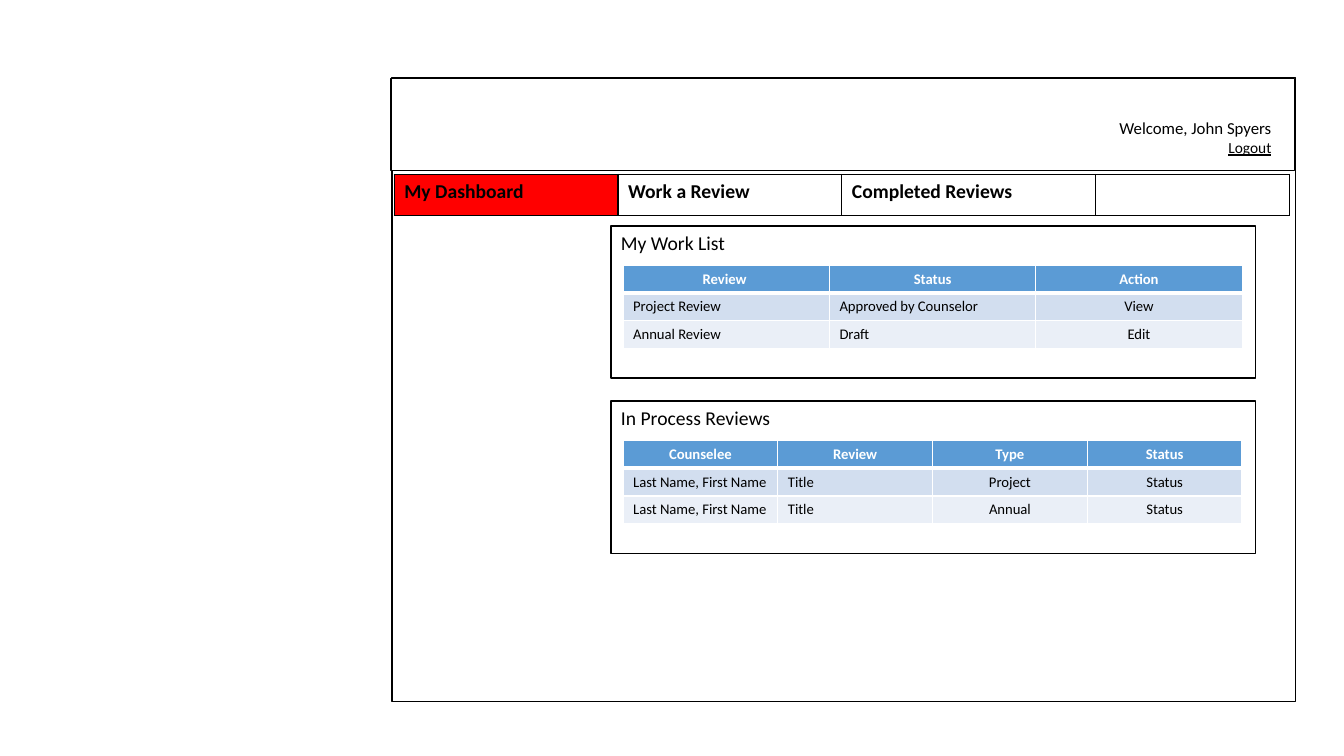
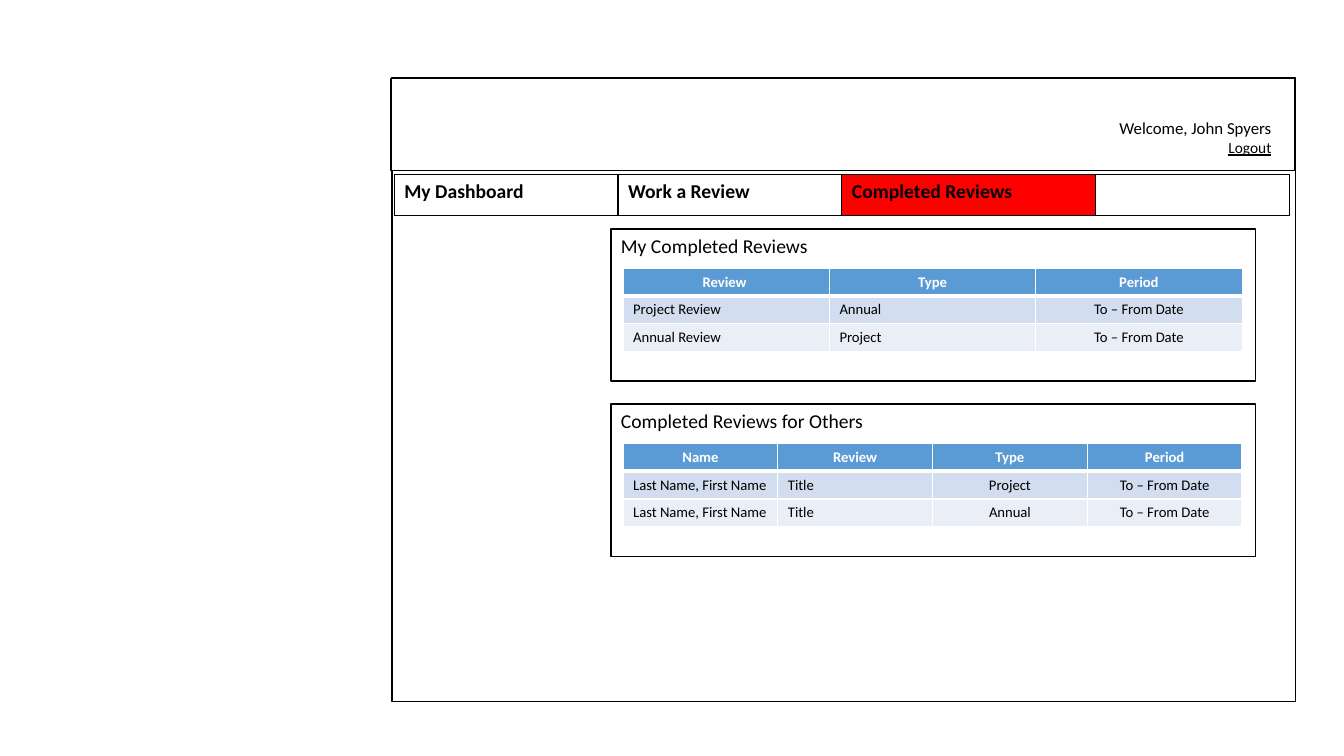
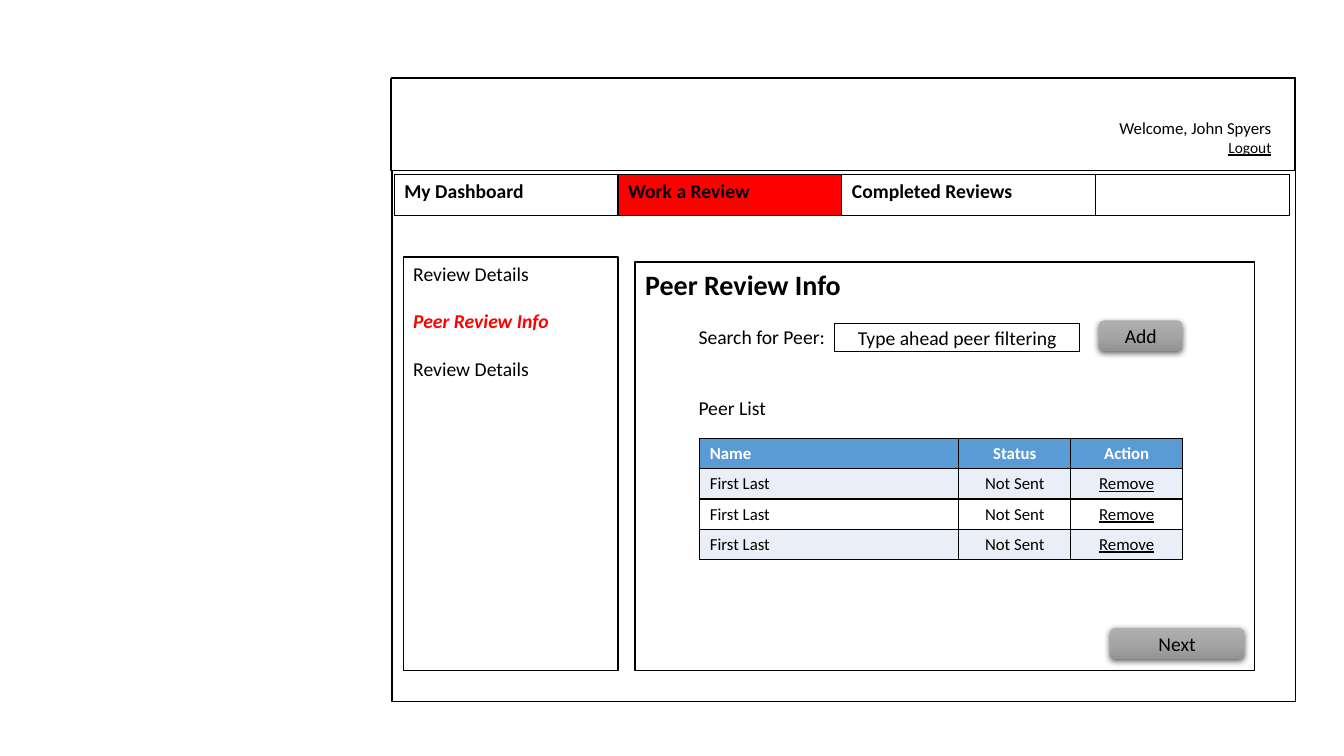
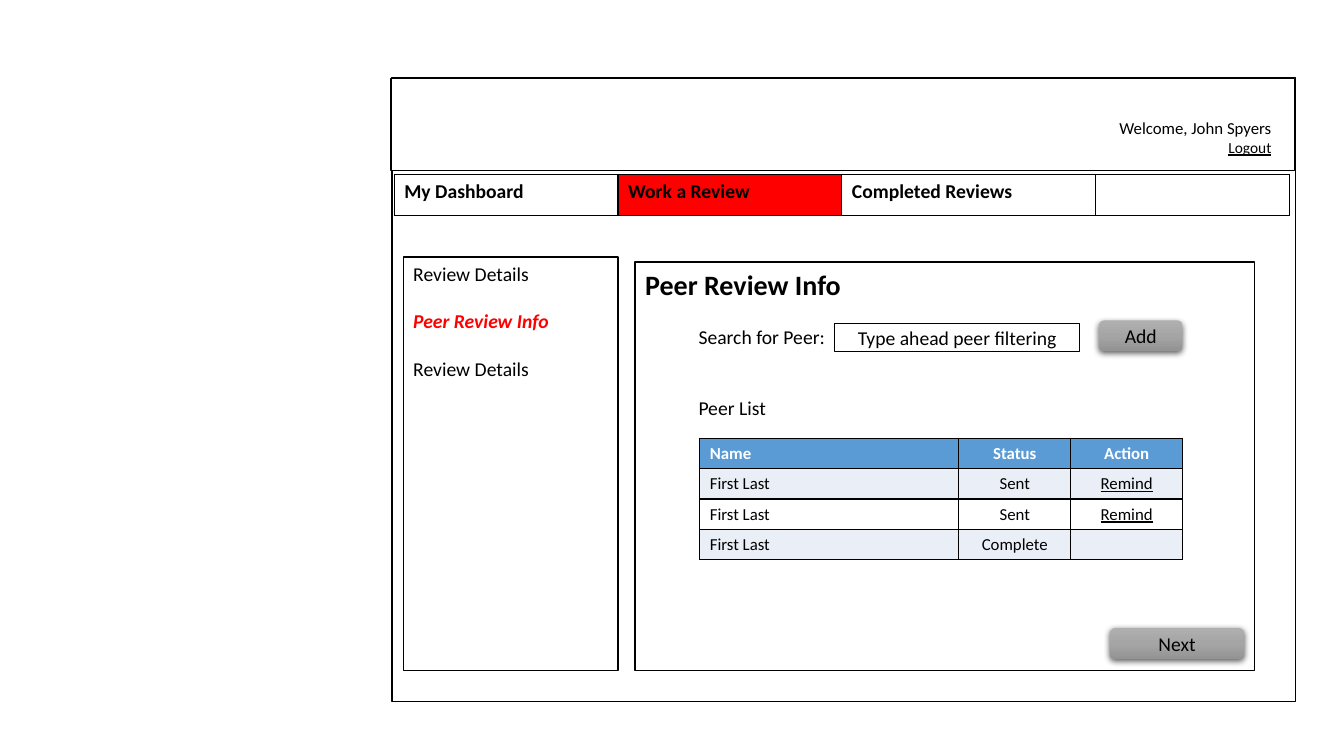
import copy

import pptx
import pptx.dml.color
import pptx.enum.shapes
import pptx.enum.text
import pptx.oxml
import pptx.oxml.ns
import pptx.util

Inches, Pt = pptx.util.Inches, pptx.util.Pt
qn = pptx.oxml.ns.qn
SHAPE = pptx.enum.shapes.MSO_SHAPE
ANCHOR = pptx.enum.text.MSO_ANCHOR
ALIGN = {"l": pptx.enum.text.PP_ALIGN.LEFT,
         "c": pptx.enum.text.PP_ALIGN.CENTER,
         "r": pptx.enum.text.PP_ALIGN.RIGHT}

# Shared look
FONT = "Calibri"
BLACK, WHITE, RED = "000000", "FFFFFF", "FF0000"
HEADER_BLUE, BAND_DARK, BAND_LIGHT = "5B9BD5", "D2DEEF", "EAEFF7"
BUTTON_STOPS = [(0, "AFAFAF"), (0.5, "A5A5A5"), (1, "939393")]
BODY = 14
GAP = 17  # one blank line of body text, in points

# Content
TABS = ["My Dashboard", "Work a Review", "Completed Reviews", ""]
TAB_WIDTHS = [2.22, 2.22, 2.52, 1.92]
STEPS = ["Review Details", "Peer Review Info", "Review Details"]
CURRENT_STEP = 1

PERSON = "Last Name, First Name"
DATES = "To – From Date"
LIST_PAGES = [
    {"tab": 0, "top": 2.24, "panels": [
        ("My Work List", "llc", [
            ["Review ", "Status", "Action"],
            ["Project Review", "Approved by Counselor", "View"],
            ["Annual Review", "Draft", "Edit"]]),
        ("In Process Reviews", "llcc", [
            ["Counselee", "Review", "Type", "Status"],
            [PERSON, "Title", "Project", "Status"],
            [PERSON, "Title", "Annual", "Status"]])]},
    {"tab": 2, "top": 2.27, "panels": [
        ("My Completed Reviews", "llc", [
            ["Review ", "Type", "Period"],
            ["Project Review", "Annual", DATES],
            ["Annual Review", "Project", DATES]]),
        ("Completed Reviews for Others", "llcc", [
            ["Name", "Review", "Type", "Period"],
            [PERSON, "Title", "Project", DATES],
            [PERSON, "Title", "Annual", DATES]])]},
]
PEER_PAGES = [
    [("Not Sent", "Remove")] * 3,
    [("Sent", "Remind"), ("Sent", "Remind"), ("Complete", "")],
]


def color(value):
    return pptx.dml.color.RGBColor.from_string(value)


def style(para, size=BODY, ink=BLACK, align="l", bold=False, italic=False,
          underline=False, before=0, indent=0):
    para.alignment = ALIGN[align]
    para.space_before = Pt(before)
    font = para.font
    font.name, font.size, font.color.rgb = FONT, Pt(size), color(ink)
    font.bold, font.italic, font.underline = bold, italic, underline
    if indent:
        para._p.get_or_add_pPr().set("marL", str(Inches(indent)))


def write(frame, lines):
    """Fill a text frame with (text, style options) lines."""
    frame.text = "\n".join(text for text, _ in lines)
    for para, (_, options) in zip(frame.paragraphs, lines):
        style(para, **options)


def add_box(page, area, lines=(), kind=SHAPE.RECTANGLE, anchor=ANCHOR.TOP):
    box = page.shapes.add_shape(kind, *map(Inches, area))
    box.shadow.inherit = False
    box.fill.solid()
    box.fill.fore_color.rgb = color(WHITE)
    box.line.color.rgb = color(BLACK)
    box.line.width = Pt(1)
    box.text_frame.vertical_anchor = anchor
    if lines:
        write(box.text_frame, lines)
    return box


def add_button(page, area, label):
    button = add_box(page, area, [(label, {"align": "c"})],
                     SHAPE.ROUNDED_RECTANGLE, ANCHOR.MIDDLE)
    button.line.fill.background()
    button.fill.gradient()
    button.fill.gradient_angle = 270
    properties = button._element.spPr
    stops = properties.find(".//" + qn("a:gsLst"))
    stops.insert(1, copy.deepcopy(stops[0]))
    for stop, (position, shade) in zip(button.fill.gradient_stops, BUTTON_STOPS):
        stop.position = position
        stop.color.rgb = color(shade)
    properties.find(qn("a:effectLst")).append(pptx.oxml.parse_xml(
        f'<a:outerShdw {pptx.oxml.ns.nsdecls("a")} blurRad="{Pt(4.5)}" '
        f'dist="{Pt(1.5)}" dir="5400000" algn="ctr" rotWithShape="0">'
        f'<a:srgbClr val="{BLACK}"><a:alpha val="63000"/></a:srgbClr>'
        '</a:outerShdw>'))


def set_borders(cell, ink, widths):
    """Line the cell; widths are in points for left, right, top, bottom."""
    for index, (side, width) in enumerate(zip("LRTB", widths)):
        cell._tc.get_or_add_tcPr().insert(index, pptx.oxml.parse_xml(
            f'<a:ln{side} {pptx.oxml.ns.nsdecls("a")} w="{Pt(width)}">'
            f'<a:solidFill><a:srgbClr val="{ink}"/></a:solidFill></a:ln{side}>'))


def add_grid(page, left, top, widths, row_height, rows, look):
    """Add a table; look(row, column) gives fill, border ink, widths, text style."""
    grid = page.shapes.add_table(
        len(rows), len(widths), Inches(left), Inches(top),
        Inches(sum(widths)), Inches(row_height * len(rows))).table
    grid.first_row = grid.horz_banding = False
    for column, width in zip(grid.columns, widths):
        column.width = Inches(width)
    for r, row in enumerate(rows):
        for c, text in enumerate(row):
            cell = grid.cell(r, c)
            fill, ink, borders, options = look(r, c)
            cell.fill.solid()
            cell.fill.fore_color.rgb = color(fill)
            set_borders(cell, ink, borders)
            write(cell.text_frame, [(text, options)])


def add_frame(deck, active):
    """Add a page with window, banner, greeting and tab bar."""
    page = deck.slides.add_slide(deck.slide_layouts[6])
    add_box(page, (3.89, 0.77, 8.96, 6.19))
    add_box(page, (3.88, 0.78, 8.96, 0.91))
    greeting = page.shapes.add_textbox(*map(Inches, (10.97, 1.12, 1.74, 0.5)))
    greeting.text_frame.word_wrap = False
    write(greeting.text_frame, [
        ("Welcome, John Spyers", {"size": 12, "align": "r"}),
        ("Logout", {"size": 11, "align": "r", "underline": True})])

    def tab_look(row, column):
        return (RED if column == active else WHITE, BLACK, [1] * 4, {"bold": True})

    add_grid(page, 3.91, 1.73, TAB_WIDTHS, 0.41, [TABS], tab_look)
    return page


def add_list_panel(page, top, title, aligns, rows):
    add_box(page, (6.06, top, 6.39, 1.51), [(title, {})])

    def look(row, column):
        if row == 0:
            return (HEADER_BLUE, WHITE, [1, 1, 1, 3],
                    {"size": 10.5, "ink": WHITE, "align": "c", "bold": True})
        return (BAND_DARK if row % 2 else BAND_LIGHT, WHITE,
                [1, 1, 3 if row == 1 else 1, 1],
                {"size": 10.5, "align": aligns[column]})

    count = len(aligns)
    add_grid(page, 6.18, top + 0.39, [6.14 / count] * count, 0.27, rows, look)


def peer_look(row, column):
    header = row == 0
    fill = HEADER_BLUE if header else BAND_LIGHT if row % 2 else WHITE
    return fill, BLACK, [1] * 4, {
        "size": 12, "ink": WHITE if header else BLACK, "align": "lcc"[column],
        "bold": header, "underline": column == 2 and not header}


def add_peer_page(deck, states):
    page = add_frame(deck, 1)
    # Steps on the left
    current = {"ink": RED, "bold": True, "italic": True}
    add_box(page, (4, 2.55, 2.13, 4.1), [
        (step, {"before": GAP if i else 0, **(current if i == CURRENT_STEP else {})})
        for i, step in enumerate(STEPS)])
    # Search form
    add_box(page, (6.3, 2.6, 6.14, 4.05), [
        ("Peer Review Info", {"size": 20, "bold": True}),
        ("Search for Peer:", {"before": GAP, "indent": 0.53}),
        ("Peer List", {"before": 2 * GAP, "indent": 0.53})])
    add_box(page, (8.28, 3.21, 2.43, 0.28),
            [("Type ahead peer filtering", {"align": "c"})], anchor=ANCHOR.MIDDLE)
    add_button(page, (10.9, 3.18, 0.83, 0.3), "Add")
    add_button(page, (11.01, 6.23, 1.33, 0.31), "Next")
    # Peer list
    rows = [["Name", "Status", "Action"]] + [["First Last", *state] for state in states]
    add_grid(page, 6.94, 4.35, [2.57, 1.11, 1.11], 0.3, rows, peer_look)


def main():
    deck = pptx.Presentation()
    deck.slide_width, deck.slide_height = Inches(13.33), Inches(7.5)
    for content in LIST_PAGES:
        page = add_frame(deck, content["tab"])
        for i, panel in enumerate(content["panels"]):
            add_list_panel(page, content["top"] + 1.74 * i, *panel)
    for states in PEER_PAGES:
        add_peer_page(deck, states)
    deck.save("out.pptx")


if __name__ == "__main__":
    main()
